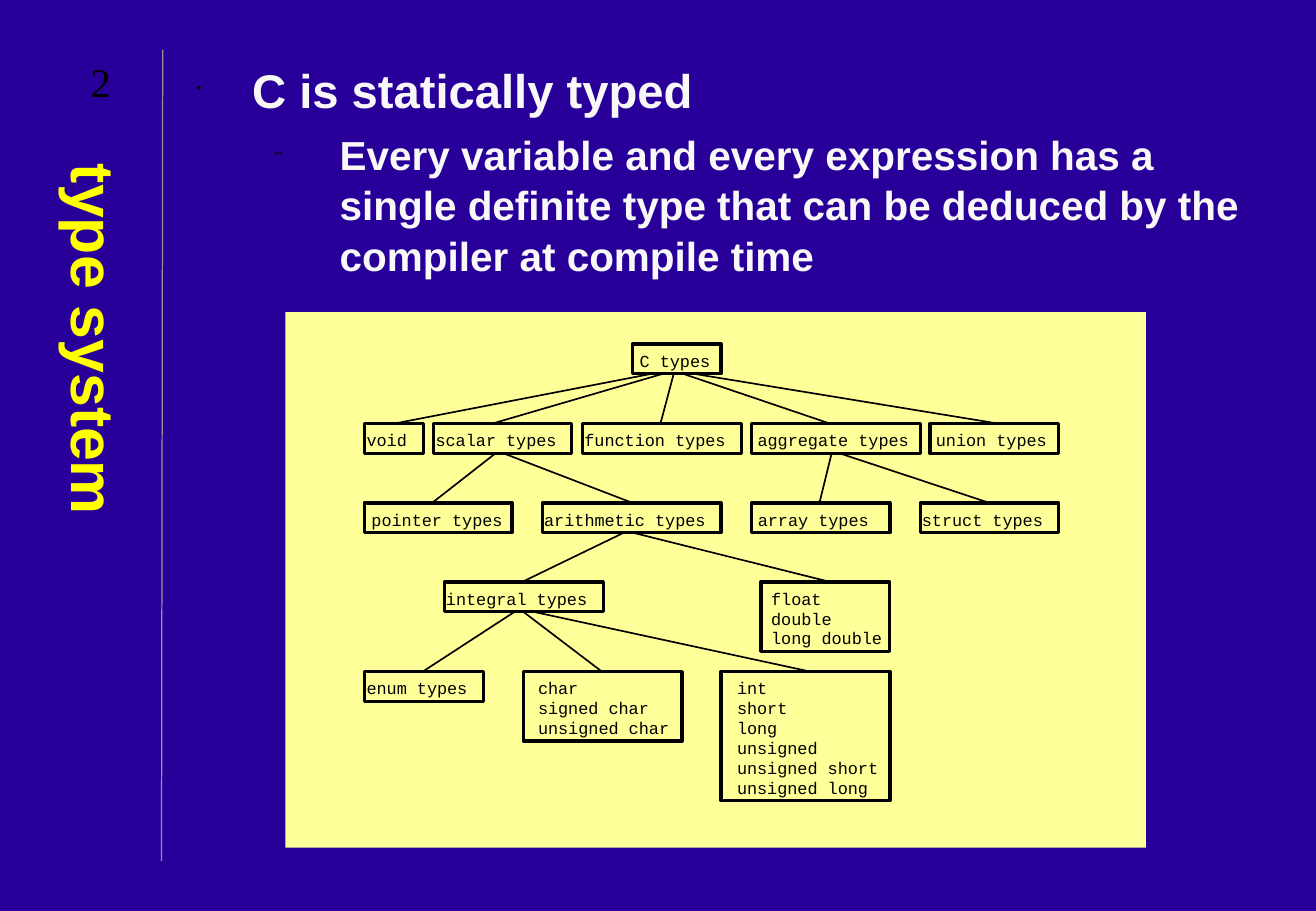
from dataclasses import dataclass
from typing import NamedTuple, Optional

from lxml import etree
from pptx import Presentation
from pptx.dml.color import RGBColor
from pptx.enum import shapes, text
from pptx.oxml import ns
from pptx.util import Pt


@dataclass(frozen=True)
class Theme:
    background: str = "280099"
    panel: str = "FFFF99"
    ink: str = "000000"
    rule: str = "969696"
    title: str = "FFFF00"
    body: str = "F8F8F8"
    sans: str = "Arial"
    serif: str = "Times New Roman"
    mono: str = "Courier New"
    title_size: float = 36
    heading_size: float = 28
    detail_size: float = 24
    node_size: float = 10


class Area(NamedTuple):
    left: float
    top: float
    width: float
    height: float


class Link(NamedTuple):
    start: float
    end: float


class Node(NamedTuple):
    label: str
    row: int
    left: float
    width: float
    indent: float
    link: Optional[Link] = None


class Point(NamedTuple):
    words: str
    size: float
    margin: float
    hanging: float
    before: float
    bullet: str
    bullet_percent: int


THEME = Theme()
ROW_TOPS = (203.8, 251.2, 298.1, 345, 398.2)
LINE_PITCH = 11.75
NODE_PADDING = 5.85

NODES = (
    Node("C types", 0, 375.1, 52.6, 4.3),
    Node("void", 1, 216, 35.3, 1.4, Link(387.4, 233.3)),
    Node("scalar types", 1, 257, 82.1, 1.4, Link(393.8, 291.6)),
    Node("function types", 1, 345.6, 94.3, 1, Link(399.6, 391.7)),
    Node("aggregate types", 1, 445.7, 100.1, 3.6, Link(404.6, 492.5)),
    Node("union types", 1, 551.5, 76.3, 3.6, Link(410.4, 592.6)),
    Node("pointer types", 2, 216, 87.8, 4.3, Link(293.8, 256.3)),
    Node("arithmetic types", 2, 321.8, 105.8, 1, Link(298.8, 375.1)),
    Node("array types", 2, 445.7, 82.1, 3.8, Link(493.2, 486)),
    Node("struct types", 2, 545.8, 82.1, 1, Link(498.2, 586.8)),
    Node("integral types", 3, 263.5, 94.3, 1, Link(370.1, 309.6)),
    Node("float\ndouble\nlong double", 3, 451.4, 76.3, 6, Link(375.1, 492.5)),
    Node("enum types", 4, 216, 70.6, 1.4, Link(305.3, 250.6)),
    Node("char\nsigned char\nunsigned char", 4, 310.3, 94.3, 8.8, Link(310.3, 357.1)),
    Node("int\nshort\nlong\nunsigned\nunsigned short\nunsigned long",
         4, 427.7, 100.1, 9.4, Link(316.1, 481)),
)

POINTS = (
    Point("C is statically typed", THEME.heading_size, 40.3, -33.1, 0, "•", 32),
    Point("Every variable and every expression has a single definite type that can be "
          "deduced by the compiler at compile time",
          THEME.detail_size, 92.2, -38.9, 6, "–", 37),
)


def color(value: str) -> RGBColor:
    return RGBColor.from_string(value)


def style(para, font: str, size: float, ink: str, bold: bool = False) -> None:
    for span in para.runs:
        span.font.name = font
        span.font.size = Pt(size)
        span.font.color.rgb = color(ink)
        span.font.bold = bold


def set_margins(frame, left: float, top: float, right: float, bottom: float) -> None:
    frame.margin_left, frame.margin_top = Pt(left), Pt(top)
    frame.margin_right, frame.margin_bottom = Pt(right), Pt(bottom)


def add_box(page, area: Area, words: str = ""):
    box = page.shapes.add_textbox(*map(Pt, area))
    box.text_frame.word_wrap = True
    box.text_frame.text = words
    return box


def add_rectangle(page, area: Area):
    box = page.shapes.add_shape(shapes.MSO_SHAPE.RECTANGLE, *map(Pt, area))
    box.shadow.inherit = False
    return box


def add_line(page, start: tuple[float, float], end: tuple[float, float],
             ink: str, width: float) -> None:
    line = page.shapes.add_connector(
        shapes.MSO_CONNECTOR.STRAIGHT, *map(Pt, (*start, *end)))
    line.line.color.rgb = color(ink)
    line.line.width = Pt(width)
    etree.SubElement(line._element.spPr, ns.qn("a:effectLst"))


def add_title(page) -> None:
    box = add_box(page, Area(23.8, 90, 66.2, 419.8), "type system")
    frame = box.text_frame
    frame._txBody.bodyPr.set("vert", "eaVert")
    frame.vertical_anchor = text.MSO_ANCHOR.MIDDLE
    set_margins(frame, 3.6, 7.2, 3.6, 7.2)
    para = frame.paragraphs[0]
    para.alignment = text.PP_ALIGN.CENTER
    style(para, THEME.sans, THEME.title_size, THEME.title, True)


def add_points(page) -> None:
    box = add_box(page, Area(102.2, 31.4, 642.2, 479))
    frame = box.text_frame
    frame.text = "\n".join(point.words for point in POINTS)
    for para, point in zip(frame.paragraphs, POINTS):
        properties = para._p.get_or_add_pPr()
        properties.set("marL", str(Pt(point.margin)))
        properties.set("indent", str(Pt(point.hanging)))
        tint = etree.SubElement(properties, ns.qn("a:buClr"))
        etree.SubElement(tint, ns.qn("a:srgbClr"), val=THEME.ink)
        etree.SubElement(properties, ns.qn("a:buSzPct"),
                         val=str(point.bullet_percent * 1000))
        etree.SubElement(properties, ns.qn("a:buChar"), char=point.bullet)
        para.line_spacing = 1.04
        para.space_before = Pt(point.before)
        style(para, THEME.sans, point.size, THEME.body, True)


def add_node(page, node: Node) -> None:
    top = ROW_TOPS[node.row]
    height = (node.label.count("\n") + 1) * LINE_PITCH + NODE_PADDING
    box = add_rectangle(page, Area(node.left, top, node.width, height))
    box.fill.background()
    box.line.color.rgb = color(THEME.ink)
    box.line.width = Pt(2)
    frame = box.text_frame
    frame.word_wrap = True
    frame.vertical_anchor = text.MSO_ANCHOR.TOP
    set_margins(frame, node.indent, 4, 0, 0)
    frame.text = node.label
    for para in frame.paragraphs:
        para.alignment = text.PP_ALIGN.LEFT
        para.line_spacing = Pt(LINE_PITCH)
        style(para, THEME.mono, THEME.node_size, THEME.ink)
    if node.link:
        parent_bottom = ROW_TOPS[node.row - 1] + LINE_PITCH + NODE_PADDING
        add_line(page, (node.link.start, parent_bottom), (node.link.end, top),
                 THEME.ink, 1)


def add_page_number(page) -> None:
    box = add_box(page, Area(30.2, 30.2, 59, 36), "2")
    box.text_frame.vertical_anchor = text.MSO_ANCHOR.MIDDLE
    para = box.text_frame.paragraphs[0]
    para.alignment = text.PP_ALIGN.CENTER
    style(para, THEME.serif, THEME.detail_size, THEME.ink)


def main() -> None:
    deck = Presentation()
    deck.slide_width, deck.slide_height = Pt(780.48), Pt(540)
    page = deck.slides.add_slide(deck.slide_layouts[6])
    page.background.fill.solid()
    page.background.fill.fore_color.rgb = color(THEME.background)
    add_line(page, (95.8, 510.5), (96.5, 29.5), THEME.rule, 0.75)
    panel = add_rectangle(page, Area(169.2, 185, 510.5, 317.5))
    panel.fill.solid()
    panel.fill.fore_color.rgb = color(THEME.panel)
    panel.line.fill.background()
    add_title(page)
    add_points(page)
    for node in NODES:
        add_node(page, node)
    add_page_number(page)
    deck.save("out.pptx")


if __name__ == "__main__":
    main()
